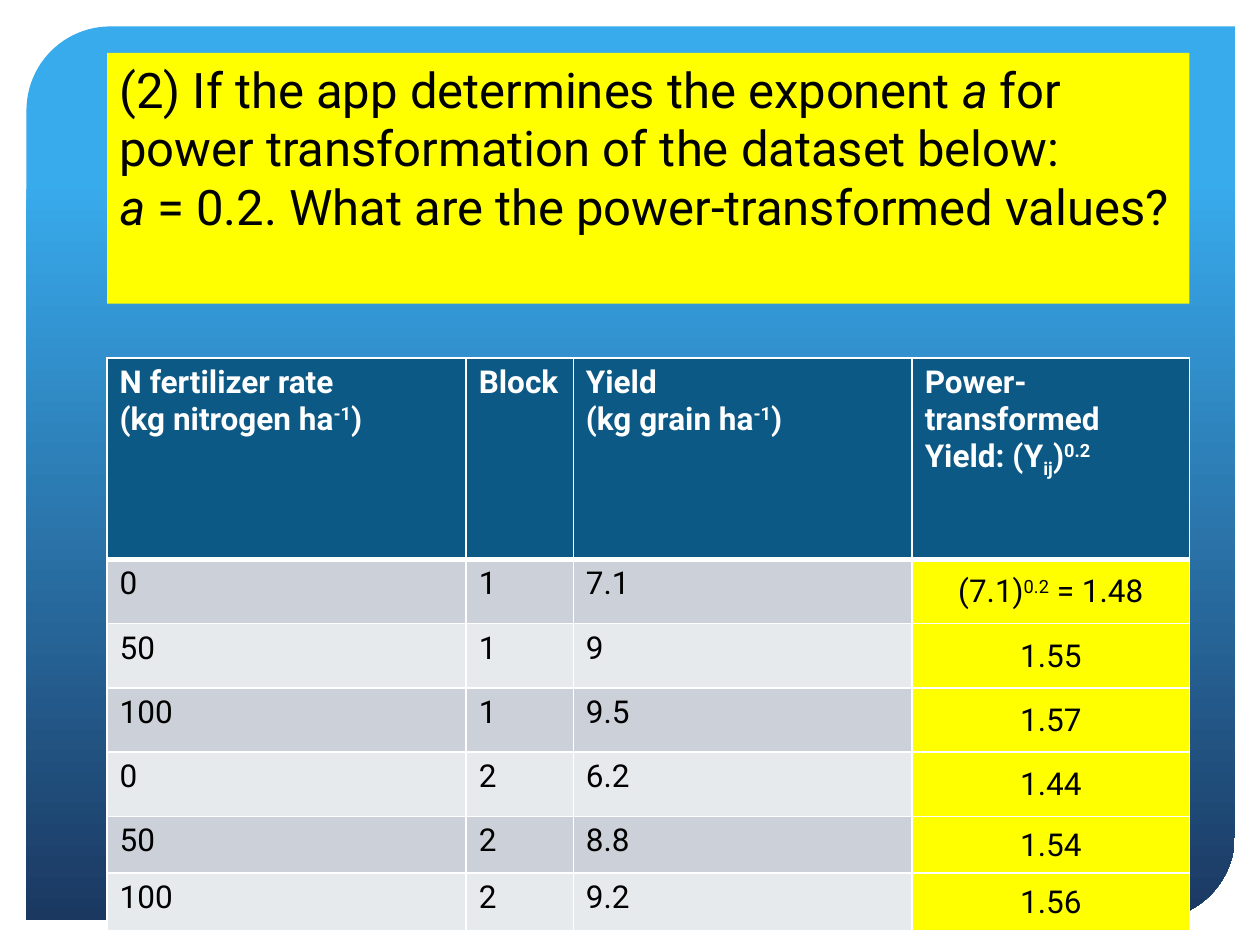
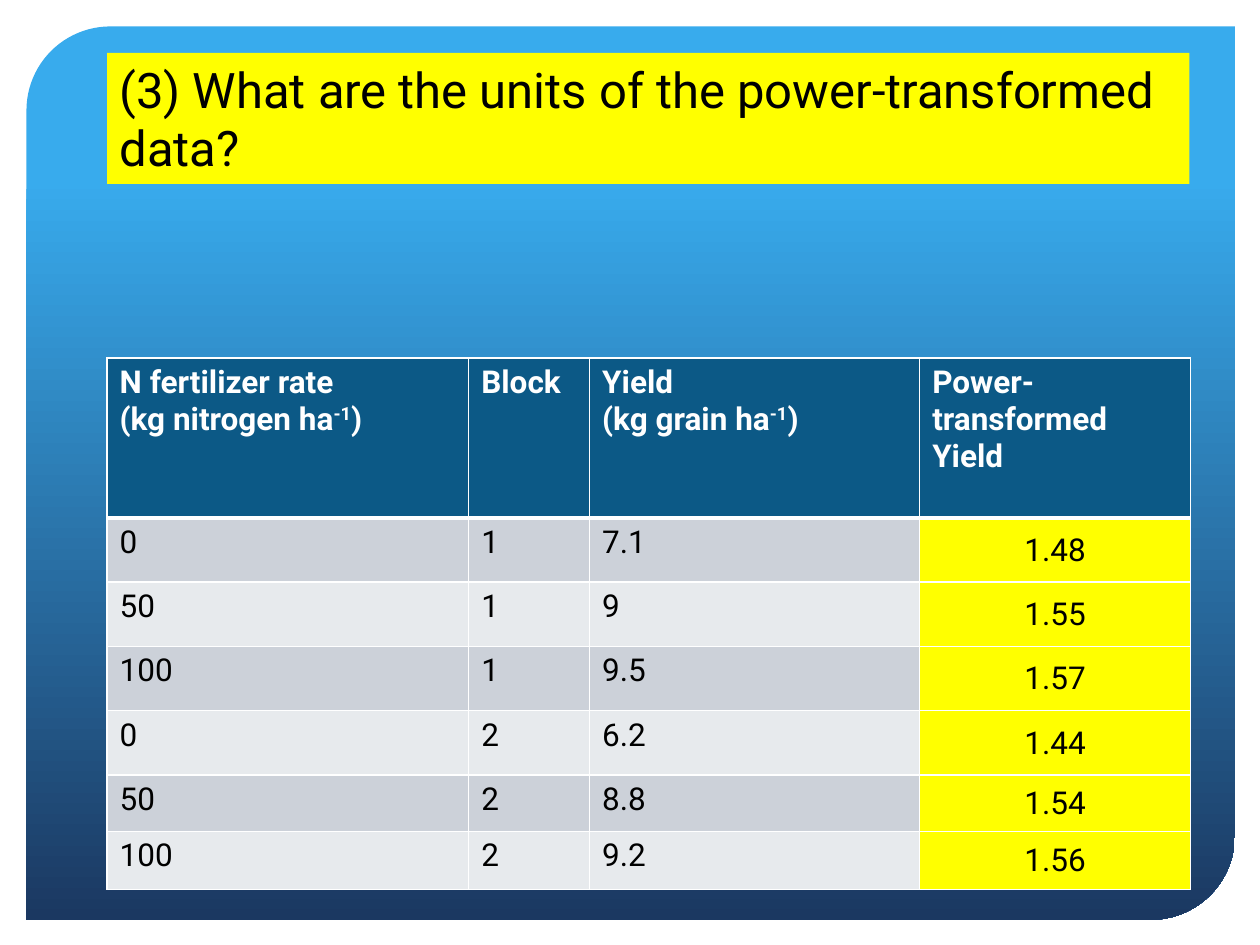
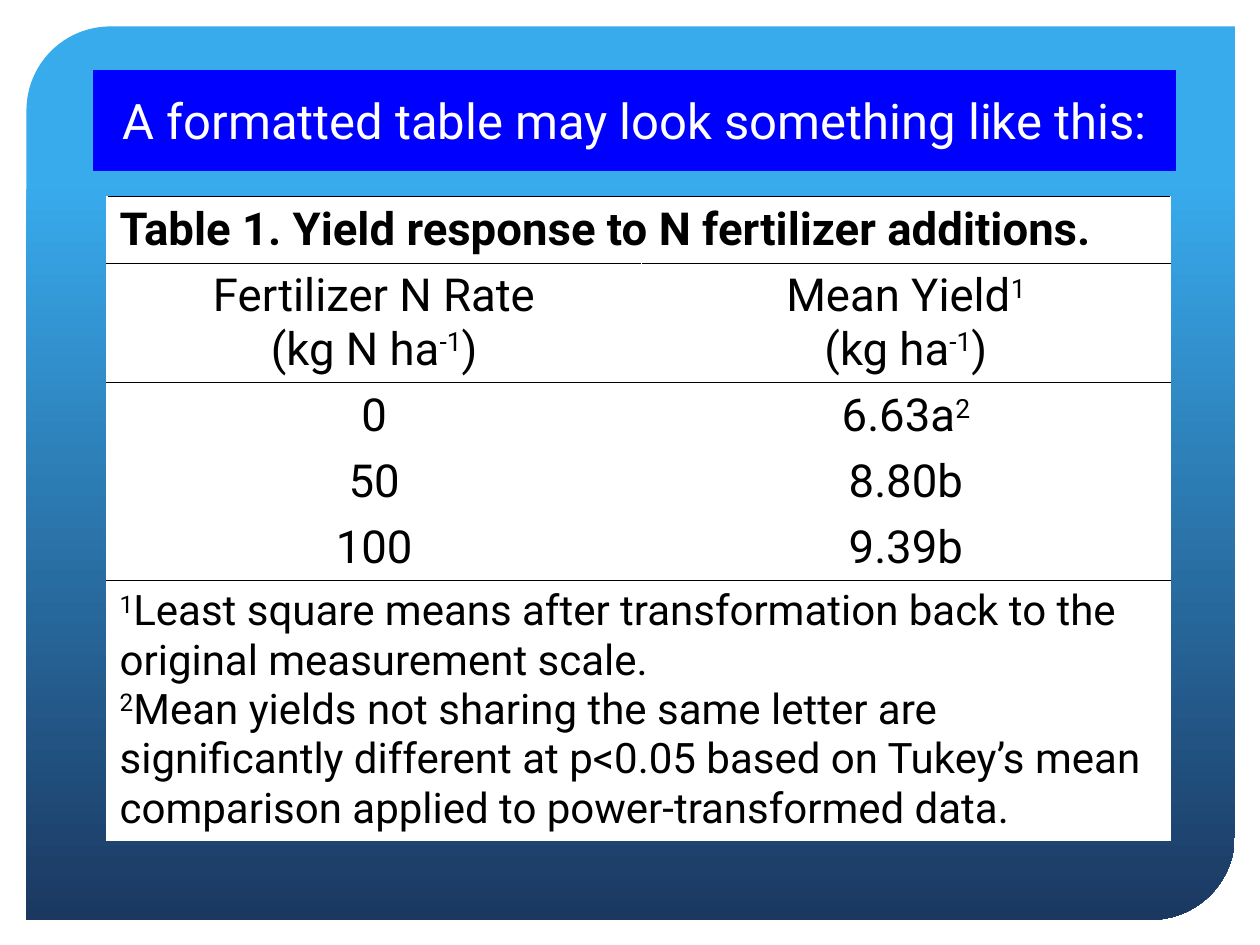
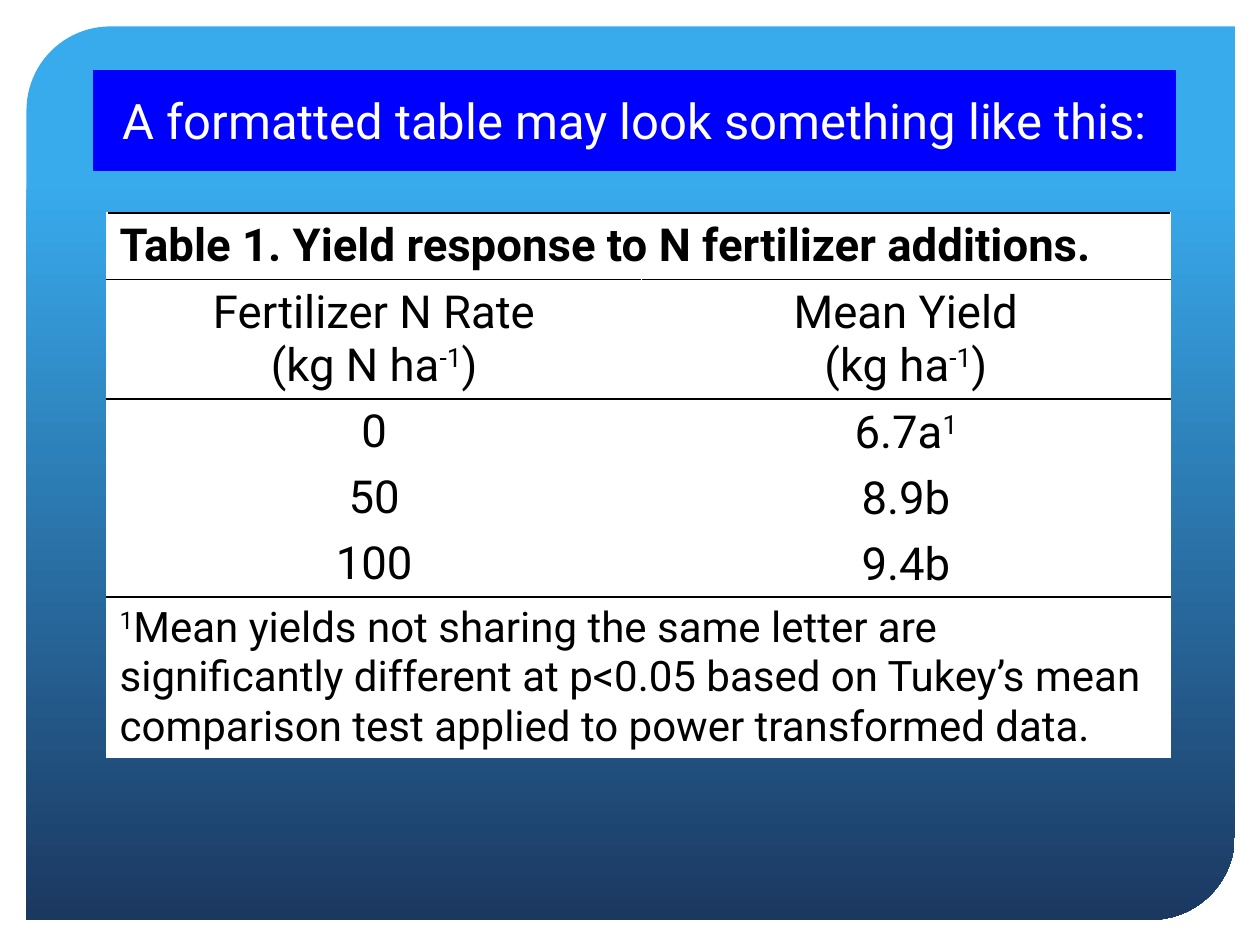
import pptx
import pptx.dml.color
import pptx.enum.shapes
import pptx.enum.text
import pptx.util
from lxml import etree

Inches = pptx.util.Inches
Pt = pptx.util.Pt
Align = pptx.enum.text.PP_ALIGN
Anchor = pptx.enum.text.MSO_ANCHOR
Preset = pptx.enum.shapes.MSO_SHAPE
rgb = pptx.dml.color.RGBColor.from_string

FONT = "Roboto"
BLACK, WHITE, YELLOW, BLUE = "000000", "FFFFFF", "FFFF00", "0000FF"
HEADER, BANDS = "0C5986", ("E7EAED", "CCD1D9")
A = "{http://schemas.openxmlformats.org/drawingml/2006/main}"


def write(frame, text, size=18, color=BLACK, bold=False, align=Align.LEFT):
    """Split text at line ends and |; a run led by ^, _ or / is raised, lowered or italic."""
    for number, line in enumerate(text.split("\n")):
        paragraph = frame.paragraphs[0] if number == 0 else frame.add_paragraph()
        paragraph.alignment = align
        for piece in line.split("|"):
            mark = piece[0] if piece[0] in "^_/" else ""
            run = paragraph.add_run()
            run.text = piece[len(mark):]
            run.font.name = FONT
            run.font.size = Pt(size)
            run.font.bold = bold
            run.font.italic = mark == "/"
            run.font.color.rgb = rgb(color)
            if mark in ("^", "_"):
                run.font._element.set("baseline", "30000" if mark == "^" else "-25000")


def style_cell(cell, fill, top, bottom):
    """Fill a cell and rule it; top and bottom are (colour, points), the sides white."""
    cell.fill.solid()
    cell.fill.fore_color.rgb = rgb(fill)
    properties = cell._tc.get_or_add_tcPr()
    edges = {"lnL": (WHITE, 1), "lnR": (WHITE, 1), "lnT": top, "lnB": bottom}
    for position, (tag, (color, width)) in enumerate(edges.items()):
        edge = etree.Element(A + tag, w=str(Pt(width)))
        solid = etree.SubElement(edge, A + "solidFill")
        etree.SubElement(solid, A + "srgbClr", val=color)
        properties.insert(position, edge)


# Content
yields = [("0", "1", "7.1", "1.48"), ("50", "1", "9", "1.55"), ("100", "1", "9.5", "1.57"),
          ("0", "2", "6.2", "1.44"), ("50", "2", "8.8", "1.54"), ("100", "2", "9.2", "1.56")]
yield_heads = ("N fertilizer rate\n(kg nitrogen ha|^-1|)", "Block", "Yield\n(kg grain ha|^-1|)")
yield_heights = [0.51] * 4 + [0.45, 0.46]
worked_example = ("0", "1", "7.1", "(7.1)|^0.2| = 1.48")

caption = ("Table 1. Yield response to N fertilizer additions.", "")
rate_head = "Fertilizer N Rate\n(kg N ha|^-1|)"
means_heights = [0.53, 0.94] + [0.52] * 3
means_widths = [4.24, 4.2]
ruled_edges = (0, 1, 2, 5)
means_banner = "A formatted table may look something like this:"

# Each page: banner, banner height, table top, column widths, row heights, rows
pages = [
    ("(2) If the app determines the exponent |/a |for power transformation of the dataset below:\n"
     "/a| = 0.2. What are the power-transformed values?",
     1.99, 2.84, [2.85, 0.85, 2.69, 2.2], [1.6] + yield_heights,
     [(*yield_heads, "Power-\ntransformed Yield: (Y|_ij|)|^0.2"), worked_example] + yields[1:]),
    ("(3) What are the units of the power-transformed data?",
     1.04, 2.84, [2.87, 0.96, 2.62, 2.15], [1.27] + yield_heights,
     [(*yield_heads, "Power-transformed Yield")] + yields),
    (means_banner, 0.79, 1.56, means_widths, means_heights + [2.06],
     [caption, (rate_head, "Mean Yield|^1\n(kg ha|^-1|)"),
      ("0", "6.63a|^2"), ("50", "8.80b"), ("100", "9.39b"),
      ("^1|Least square means after transformation back to the original measurement scale.\n"
       "^2|Mean yields not sharing the same letter are significantly different at p<0.05 "
       "based on Tukey’s mean comparison applied to power-transformed data.", "")]),
    (means_banner, 0.79, 1.69, means_widths, means_heights + [1.26],
     [caption, (rate_head, "Mean Yield\n(kg ha|^-1|)"),
      ("0", "6.7a|^1"), ("50", "8.9b"), ("100", "9.4b"),
      ("^1|Mean yields not sharing the same letter are significantly different at p<0.05 "
       "based on Tukey’s mean comparison test applied to power transformed data.", "")]),
]

deck = pptx.Presentation()
deck.slide_width, deck.slide_height = Inches(10), Inches(7.5)
blank = deck.slide_layouts[6]
slides = [deck.slides.add_slide(blank) for page in pages]

# The gradient panel is drawn once and moved to the master, behind everything
panel = slides[0].shapes.add_shape(Preset.ROUND_2_DIAG_RECTANGLE,
                                   Inches(0.21), Inches(0.21), Inches(9.59), Inches(7.09))
panel.adjustments[0], panel.adjustments[1] = 0.094, 0
panel.shadow.inherit = False
panel.line.fill.background()
panel.fill.gradient()
panel.fill.gradient_angle = 270
for stop, (position, color) in zip(panel.fill.gradient_stops, [(0.17, "38ABED"), (1, "1B3861")]):
    stop.position = position
    stop.color.rgb = rgb(color)
panel.element.nvSpPr.cNvPr.set("id", "20")
deck.slide_master.shapes.element.insert(2, panel.element)

for slide, (question, height, table_top, widths, heights, rows) in zip(slides, pages):
    formatted = rows[0] == caption

    left, top = (0.74, 0.56) if formatted else (0.85, 0.42)
    banner = slide.shapes.add_shape(Preset.RECTANGLE, Inches(left), Inches(top),
                                    Inches(8.59), Inches(height))
    banner.shadow.inherit = False
    banner.fill.solid()
    banner.fill.fore_color.rgb = rgb(BLUE if formatted else YELLOW)
    banner.text_frame.word_wrap = True
    if formatted:
        banner.line.color.rgb = rgb(BLUE)
        banner.line.width = Pt(0.75)
        banner.text_frame.vertical_anchor = Anchor.MIDDLE
        write(banner.text_frame, question, size=28, color=WHITE, align=Align.CENTER)
    else:
        banner.line.fill.background()
        banner.text_frame.vertical_anchor = Anchor.TOP
        write(banner.text_frame, question, size=28)

    table = slide.shapes.add_table(len(rows), len(widths), Inches(0.85), Inches(table_top),
                                   Inches(sum(widths)), Inches(sum(heights))).table
    table.horz_banding = False
    for column, width in zip(table.columns, widths):
        column.width = Inches(width)
    for row, row_height in zip(table.rows, heights):
        row.height = Inches(row_height)

    for r, texts in enumerate(rows):
        wide = "" in texts
        if wide:
            table.cell(r, 0).merge(table.cell(r, len(widths) - 1))
        for c, text in enumerate(texts):
            cell = table.cell(r, c)
            last = c == len(widths) - 1
            if formatted:
                fill = WHITE
                above, below = [(BLACK if edge in ruled_edges else WHITE, 1) for edge in (r, r + 1)]
                result = last and 2 <= r <= 4
            else:
                fill = HEADER if r == 0 else YELLOW if last else BANDS[r % 2]
                above, below = [(WHITE, 3 if edge == 1 else 1) for edge in (r, r + 1)]
                result = last and r > 0
            style_cell(cell, fill, above, below)
            if result:
                cell.vertical_anchor = Anchor.MIDDLE
                cell.margin_left = cell.margin_right = cell.margin_top = Inches(0.01)
                cell.margin_bottom = 0
            if text:
                centred = result or (formatted and not wide)
                size = 18 if not formatted else 24 if r == len(rows) - 1 else 26
                write(cell.text_frame, text, size=size, bold=r == 0,
                      color=WHITE if fill == HEADER else BLACK,
                      align=Align.CENTER if centred else Align.LEFT)

deck.save("out.pptx")
